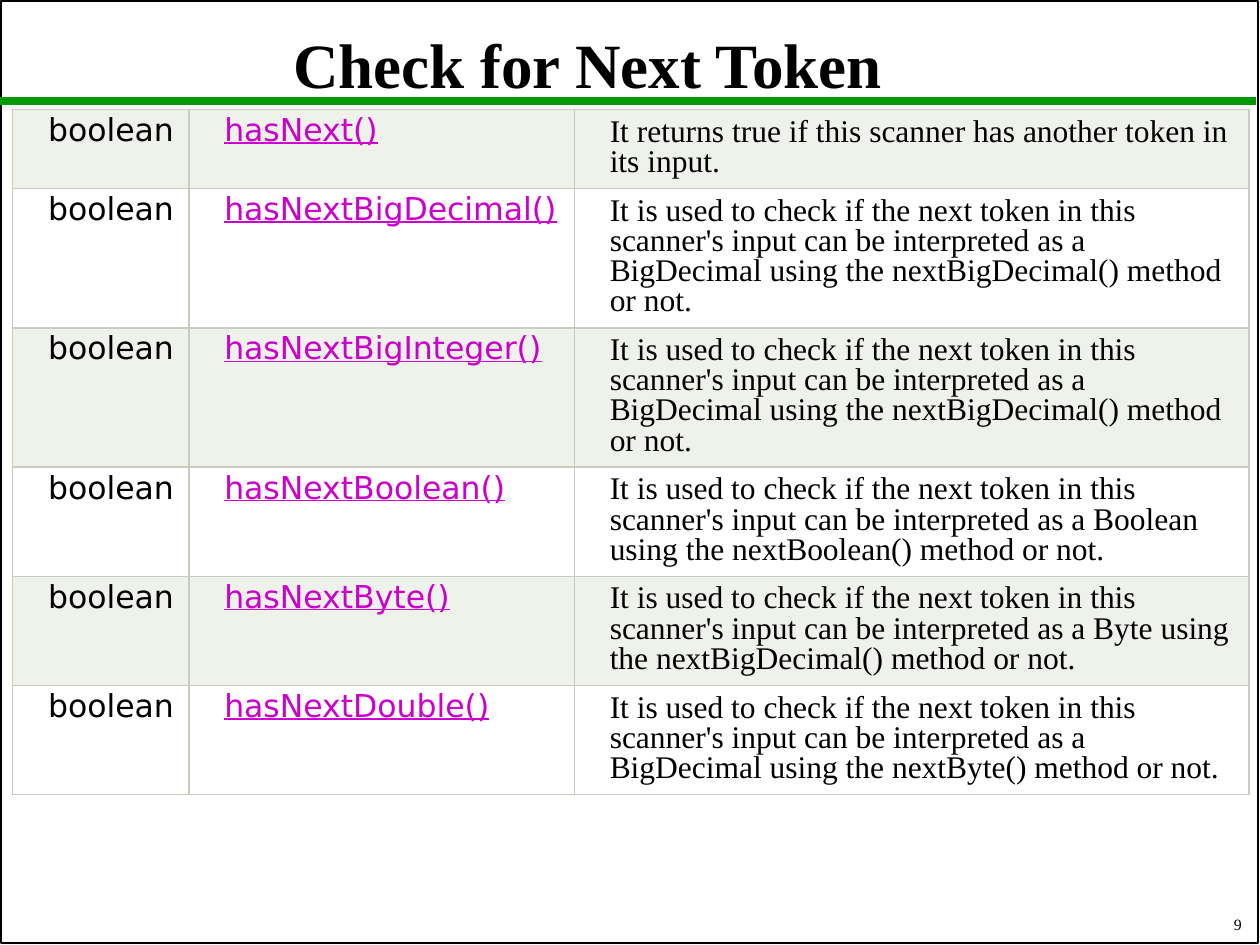
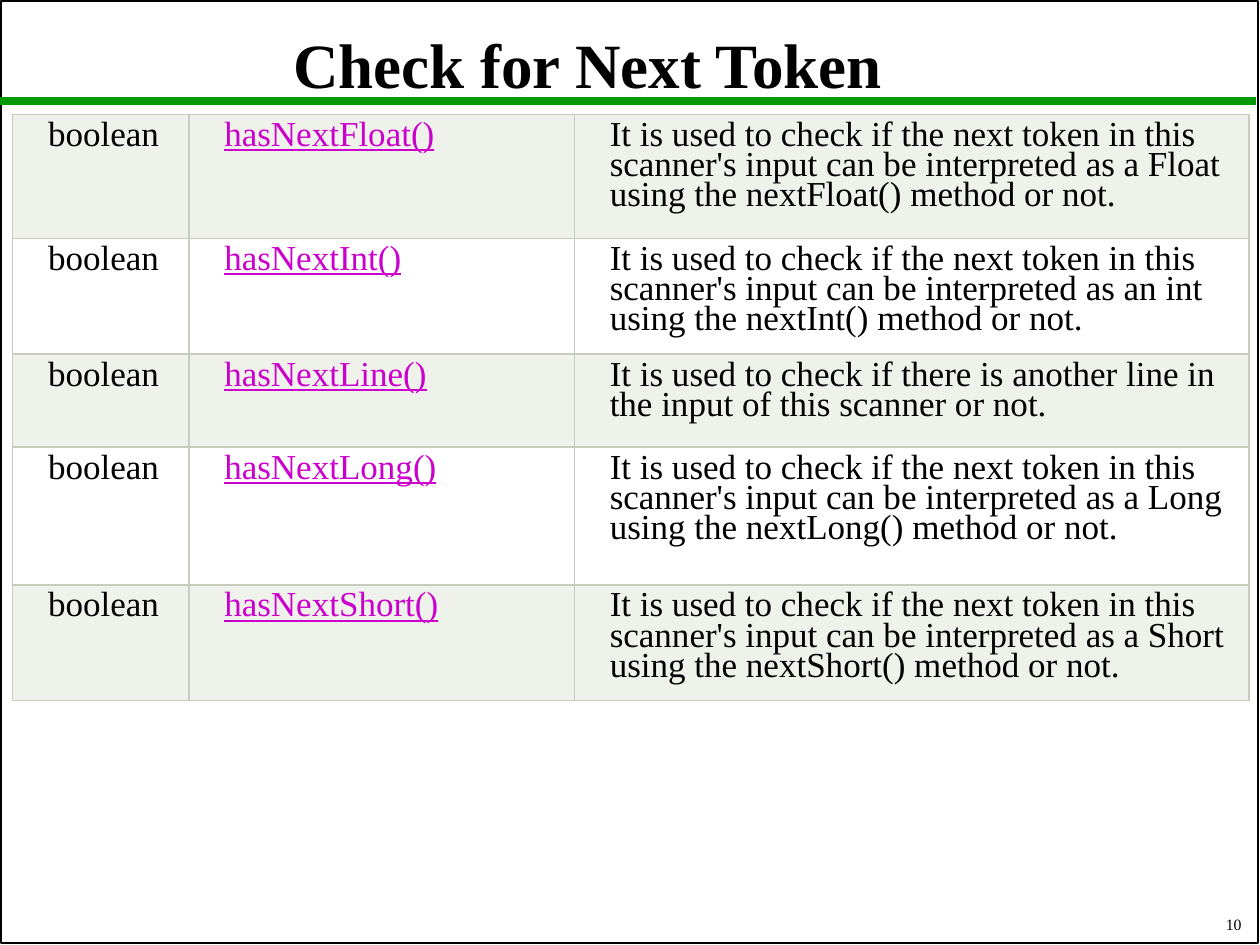
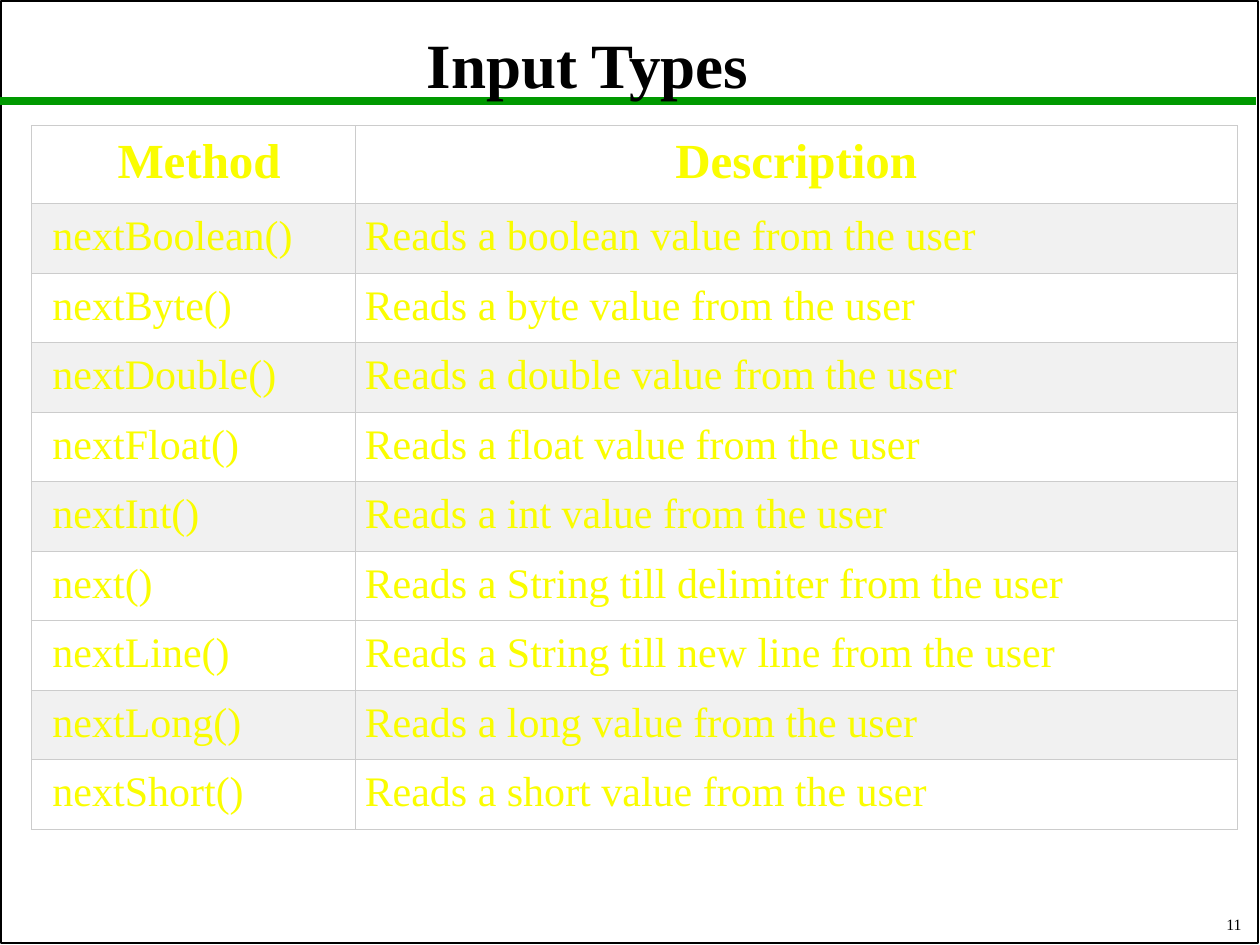
from lxml import etree
from pptx import Presentation
from pptx.dml.color import RGBColor
from pptx.enum import shapes, text
from pptx.oxml import ns
from pptx.util import Pt

SERIF, SANS = "Times New Roman", "DejaVu Sans"
BLACK, WHITE, GREEN, YELLOW, MAGENTA = "000000", "FFFFFF", "009900", "FAFD00", "CC00CC"
SAGE, SAGE_BORDER, GREY, GREY_BORDER = "EFF1EB", "C7CCBE", "F1F1F1", "CCCCCC"
FIRST_PAGE = 9

CHECK = "It is used to check if the next token in this scanner's input can be interpreted as "
BIG_DECIMAL = CHECK + "a BigDecimal using the nextBigDecimal() method or not."

# Method, description, row height
FIRST_CHECKS = [
    ("hasNext()", "It returns true if this scanner has another token in its input.", 45),
    ("hasNextBigDecimal()", BIG_DECIMAL, 79.6),
    ("hasNextBigInteger()", BIG_DECIMAL, 79.6),
    ("hasNextBoolean()", CHECK + "a Boolean using the nextBoolean() method or not.", 62.3),
    ("hasNextByte()", CHECK + "a Byte using the nextBigDecimal() method or not.", 62.3),
    ("hasNextDouble()", CHECK + "a BigDecimal using the nextByte() method or not.", 62.3),
]
MORE_CHECKS = [
    ("hasNextFloat()", CHECK + "a Float using the nextFloat() method or not.", 70.8),
    ("hasNextInt()", CHECK + "an int using the nextInt() method or not.", 66.2),
    ("hasNextLine()",
     "It is used to check if there is another line in the input of this scanner or not.", 53.2),
    ("hasNextLong()", CHECK + "a Long using the nextLong() method or not.", 78.7),
    ("hasNextShort()", CHECK + "a Short using the nextShort() method or not.", 66.2),
]
INPUT_TYPES = [
    ("Method", "Description"),
    ("nextBoolean()", "Reads a boolean value from the user"),
    ("nextByte()", "Reads a byte value from the user"),
    ("nextDouble()", "Reads a double value from the user"),
    ("nextFloat()", "Reads a float value from the user"),
    ("nextInt()", "Reads a int value from the user"),
    ("next()", "Reads a String till delimiter from the user"),
    ("nextLine()", "Reads a String till new line from the user"),
    ("nextLong()", "Reads a long value from the user"),
    ("nextShort()", "Reads a short value from the user"),
]
SHADED_INPUT_ROWS = {1, 3, 5, 8}


def color(value):
    return RGBColor.from_string(value)


def set_all(target, values):
    for name, value in values.items():
        setattr(target, name, value)


def write(frame, content, size, font=SERIF, ink=BLACK, bold=False, underline=False, **layout):
    paragraph = frame.paragraphs[0]
    set_all(paragraph, layout)
    run = paragraph.add_run()
    run.text = content
    set_all(run.font, dict(name=font, size=Pt(size), bold=bold, underline=underline))
    run.font.color.rgb = color(ink)


def place(shape, left, top, width, height):
    set_all(shape, dict(left=Pt(left), top=Pt(top), width=Pt(width), height=Pt(height)))


def add_border(cell, ink, width):
    properties = cell._tc.get_or_add_tcPr()
    for index, side in enumerate(("lnL", "lnR", "lnT", "lnB")):
        line = etree.Element(ns.qn("a:" + side), w=str(Pt(width)))
        fill = etree.SubElement(line, ns.qn("a:solidFill"))
        etree.SubElement(fill, ns.qn("a:srgbClr"), val=ink)
        properties.insert(index, line)


def add_shared_frame(slide):
    """Draw the page border and title rule, then move them to the slide's layout."""
    border = slide.shapes.add_shape(shapes.MSO_SHAPE.RECTANGLE, Pt(0.7), Pt(0.7), Pt(718), Pt(538))
    border.shadow.inherit = False
    border.fill.background()
    rule = slide.shapes.add_connector(
        shapes.MSO_CONNECTOR.STRAIGHT, Pt(0), Pt(57.5), Pt(718), Pt(57.5))
    etree.SubElement(rule._element.spPr, ns.qn("a:effectLst"))
    for shape, ink, width in ((border, BLACK, 1), (rule, GREEN, 4.5)):
        shape.line.color.rgb = color(ink)
        shape.line.width = Pt(width)
        slide.slide_layout.shapes._spTree.append(shape._element)


def add_titled_slide(presentation, heading):
    slide = presentation.slides.add_slide(presentation.slide_layouts[5])
    title = slide.shapes.title
    place(title, 5.8, 5.8, 660, 66)
    set_all(title.text_frame, dict(auto_size=text.MSO_AUTO_SIZE.NONE,
                                   vertical_anchor=text.MSO_ANCHOR.MIDDLE))
    write(title.text_frame, heading, 36, bold=True,
          alignment=text.PP_ALIGN.CENTER, line_spacing=0.9)
    number = slide.shapes.add_textbox(Pt(566.6), Pt(516.2), Pt(150), Pt(21))
    set_all(number.text_frame, dict(word_wrap=True, vertical_anchor=text.MSO_ANCHOR.BOTTOM))
    page = FIRST_PAGE + len(presentation.slides) - 1
    write(number.text_frame, str(page), 9, alignment=text.PP_ALIGN.RIGHT)
    return slide


def add_plain_table(slide, left, top, widths, heights):
    table = slide.shapes.add_table(len(heights), len(widths), Pt(left), Pt(top),
                                   Pt(sum(widths)), Pt(sum(heights))).table
    set_all(table, dict(first_row=False, horz_banding=False))
    for column, width in zip(table.columns, widths):
        column.width = Pt(width)
    for row, height in zip(table.rows, heights):
        row.height = Pt(height)
    return table


def format_cell(cell, fill, border, width, padding, left_padding):
    cell.fill.solid()
    cell.fill.fore_color.rgb = color(fill)
    add_border(cell, border, width)
    sides = dict.fromkeys(("margin_top", "margin_right", "margin_bottom"), Pt(padding))
    set_all(cell, dict(sides, margin_left=Pt(left_padding)))


def add_check_table(slide, top, checks, size, code_font):
    table = add_plain_table(slide, 7.2, top, (100.7, 220.3, 385.7), [row[2] for row in checks])
    for row, (method, description, _) in enumerate(checks):
        contents = (
            ("boolean", dict(font=code_font)),
            (method, dict(font=code_font, ink=MAGENTA, underline=True)),
            (description, {}),
        )
        for column, (content, style) in enumerate(contents):
            cell = table.cell(row, column)
            format_cell(cell, WHITE if row % 2 else SAGE, SAGE_BORDER, 1, 5.3, 5.3)
            write(cell.text_frame, content, size, line_spacing=Pt(17.25), **style)
            cell.text_frame.paragraphs[0]._p.get_or_add_pPr().set("marL", str(Pt(15)))


def add_input_table(slide):
    heights = [43.1] + [38.5] * (len(INPUT_TYPES) - 1)
    table = add_plain_table(slide, 18, 71.8, (185, 504), heights)
    for row, contents in enumerate(INPUT_TYPES):
        if row == 0:
            style = dict(size=28, bold=True, alignment=text.PP_ALIGN.CENTER)
        else:
            style = dict(size=24)
        for column, content in enumerate(contents):
            cell = table.cell(row, column)
            format_cell(cell, GREY if row in SHADED_INPUT_ROWS else WHITE, GREY_BORDER, 0.75,
                        5.45, 5.45 if column else 12)
            write(cell.text_frame, content, ink=YELLOW, **style)


def main():
    presentation = Presentation()
    set_all(presentation, dict(slide_width=Pt(720), slide_height=Pt(540)))
    first = add_titled_slide(presentation, "Check for Next Token")
    add_shared_frame(first)
    add_check_table(first, 62.6, FIRST_CHECKS, 18, SANS)
    second = add_titled_slide(presentation, "Check for Next Token")
    add_check_table(second, 65.4, MORE_CHECKS, 20, SERIF)
    add_input_table(add_titled_slide(presentation, "Input Types"))
    presentation.save("out.pptx")


if __name__ == "__main__":
    main()
